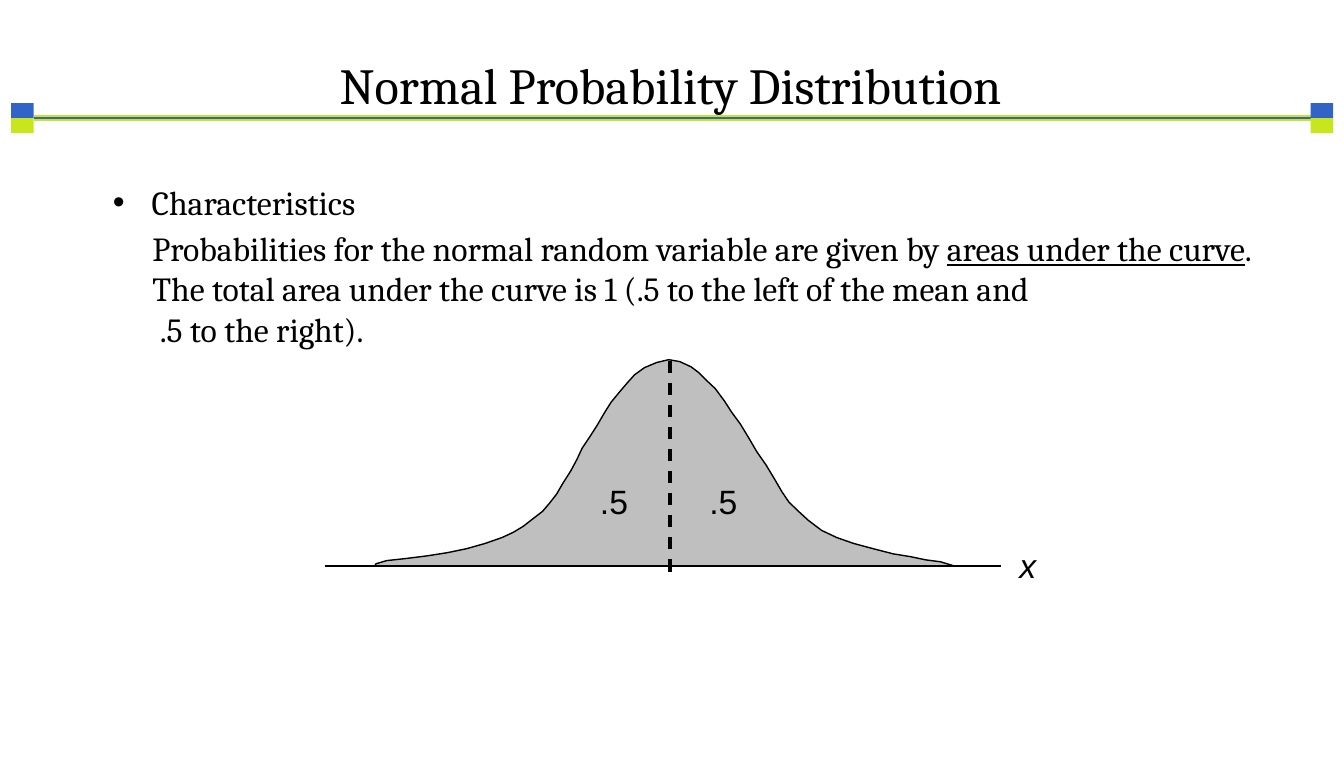
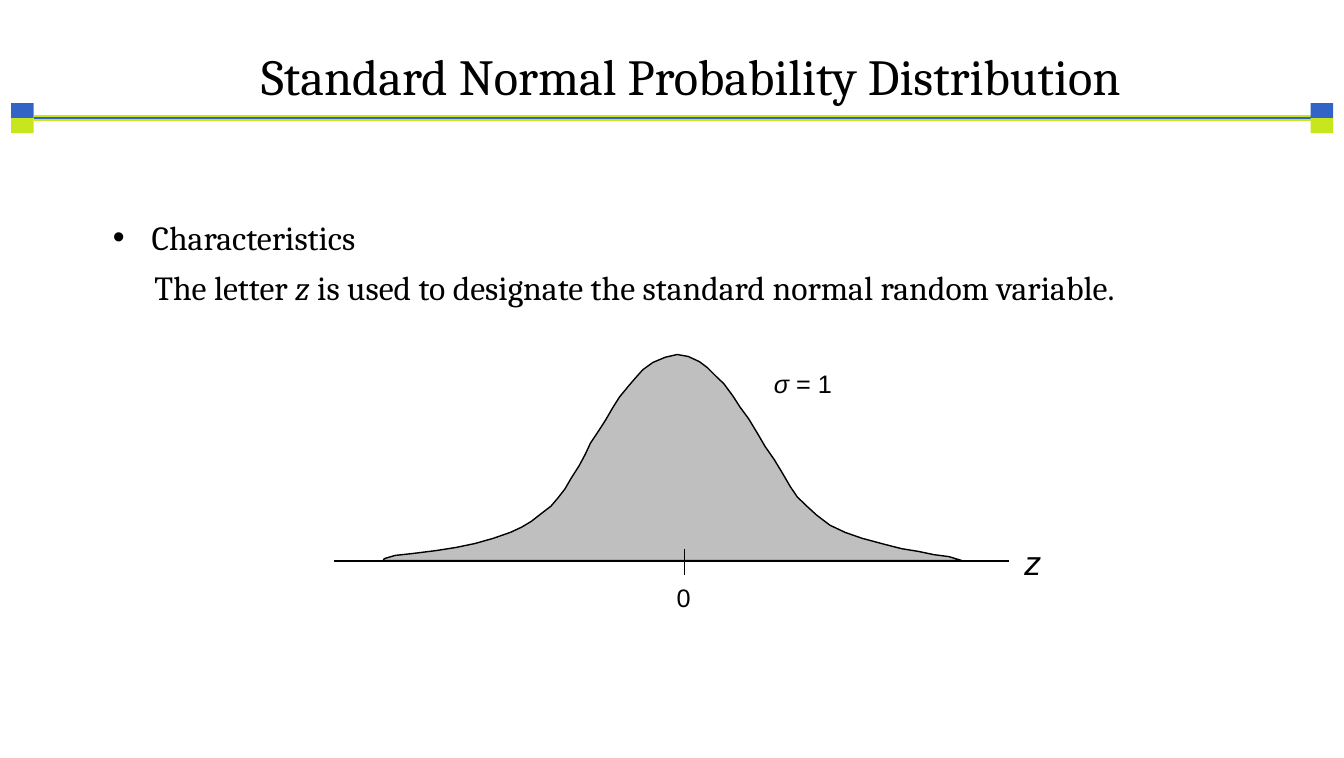
from lxml.etree import SubElement
from pptx import Presentation
from pptx.dml.color import RGBColor
from pptx.enum.dml import MSO_LINE
from pptx.enum.shapes import MSO_CONNECTOR, MSO_SHAPE
from pptx.enum.text import MSO_ANCHOR, PP_ALIGN
from pptx.oxml.ns import qn
from pptx.util import Cm, Pt

BLUE = RGBColor(0x32, 0x64, 0xC8)
LIME = RGBColor(0xC8, 0xE6, 0x1E)
GRAY = RGBColor(0xBF, 0xBF, 0xBF)
BLACK = RGBColor(0, 0, 0)
SERIF, SANS = "Cambria", "Arial"

# Bell outline: distance from the left tail and height above the axis, in 0.1 mm
BELL = [
    (0, 0), (3, 5), (30, 13), (76, 18), (132, 25), (183, 33), (231, 43),
    (277, 56), (320, 71), (348, 84), (373, 99), (396, 117), (422, 137),
    (439, 157), (457, 180), (472, 206), (493, 239), (508, 267), (521, 295),
    (541, 325), (559, 353), (577, 384), (594, 411), (617, 439), (635, 460),
    (653, 480), (678, 498), (709, 511), (739, 518), (767, 513), (795, 500),
    (815, 485), (838, 462), (856, 445), (879, 414), (897, 386), (919, 356),
    (942, 318), (960, 287), (983, 254), (1003, 221), (1024, 185),
    (1041, 160), (1067, 135), (1090, 114), (1123, 89), (1161, 71),
    (1204, 56), (1260, 41), (1303, 30), (1346, 23), (1384, 15), (1422, 10),
    (1455, 0),
]


class Deck:
    def __init__(self):
        self.prs = Presentation()
        self.prs.slide_width, self.prs.slide_height = Cm(33.78), Cm(19.05)
        self.shapes = None

    def new_slide(self, title, left, top):
        """Start a slide with the ruled band and its title."""
        self.shapes = self.prs.slides.add_slide(self.prs.slide_layouts[6]).shapes
        band_y, side, height = 2.97, 0.57, 0.38
        band_left, band_right = 0.85, 32.94
        for color, width in ((LIME, 4.5), (BLUE, 1.75)):
            self.line(band_left, band_y, band_right, band_y, width, color)
        for x in (band_left - side, band_right):
            self.block(x, band_y - height, side, height, BLUE)
            self.block(x, band_y, side, height, LIME)
        self.text([[title]], left, top, 28.73, 1.75, size=36,
                  align=PP_ALIGN.CENTER, spacing=0.9)

    def block(self, x, y, width, height, color):
        block = self.shapes.add_shape(MSO_SHAPE.RECTANGLE, Cm(x), Cm(y), Cm(width), Cm(height))
        block.shadow.inherit = False
        block.fill.solid()
        block.fill.fore_color.rgb = color
        block.line.fill.background()

    def line(self, x1, y1, x2, y2, width, color=BLACK, dash=None):
        line = self.shapes.add_connector(MSO_CONNECTOR.STRAIGHT, Cm(x1), Cm(y1), Cm(x2), Cm(y2))
        line.line.width = Pt(width)
        line.line.color.rgb = color
        if dash:
            line.line.dash_style = dash
        SubElement(line._element.spPr, qn("a:effectLst"))

    def text(self, paragraphs, x, y, width, height, size=24, font=SERIF,
             align=PP_ALIGN.LEFT, anchor=MSO_ANCHOR.TOP, spacing=None,
             bullet=False, wrap=True):
        """Each paragraph is a list of runs: a string, or (string, font attribute to turn on)."""
        frame = self.shapes.add_textbox(Cm(x), Cm(y), Cm(width), Cm(height)).text_frame
        frame.word_wrap = wrap
        frame.vertical_anchor = anchor
        for index, runs in enumerate(paragraphs):
            paragraph = frame.add_paragraph() if index else frame.paragraphs[0]
            paragraph.alignment = align
            if spacing:
                paragraph.line_spacing = spacing
            if bullet:
                props = paragraph._p.get_or_add_pPr()
                props.set("marL", str(Cm(0.97)))
                props.set("indent", str(-Cm(0.97)))
                SubElement(props, qn("a:buFont"), typeface=SANS)
                SubElement(props, qn("a:buChar"), char="•")
            for item in runs:
                words, emphasis = (item, None) if isinstance(item, str) else item
                run = paragraph.add_run()
                run.text = words
                run.font.name, run.font.size = font, Pt(size)
                run.font.color.rgb = BLACK
                if emphasis:
                    setattr(run.font, emphasis, True)

    def heading(self, words, y):
        self.text([[words]], 2.59, y, 12.8, 1.5, bullet=True)

    def label(self, runs, x, y, width=0.94, size=24):
        self.text([runs], x, y, width, 1.25, size=size, font=SANS, wrap=False)

    def bell_curve(self, left, axis_y):
        """Draw the shaded curve standing on its axis."""
        start, *rest = [(x, -height) for x, height in BELL]
        builder = self.shapes.build_freeform(*start, scale=Cm(0.01))
        builder.add_line_segments(rest, close=True)
        curve = builder.convert_to_shape(Cm(left), Cm(axis_y))
        curve.shadow.inherit = False
        curve.fill.solid()
        curve.fill.fore_color.rgb = GRAY
        curve.line.color.rgb = BLACK
        curve.line.width = Pt(1)
        self.line(left - 1.24, axis_y, left + 15.73, axis_y, 1.5)


def normal_distribution(deck):
    deck.new_slide("Normal Probability Distribution", 2.49, 1.4)
    deck.heading("Characteristics", 4.45)
    deck.text([
        ["Probabilities for the normal random variable are given by ",
         ("areas under the curve", "underline"),
         ". The total area under the curve is 1 (.5 to the left of the mean and"],
        [" .5 to the right)."],
    ], 3.58, 5.36, 29.36, 3.78, anchor=MSO_ANCHOR.MIDDLE)
    deck.bell_curve(9.42, 14.22)
    deck.line(16.84, 9.07, 16.84, 14.45, 2.25, dash=MSO_LINE.DASH)
    for half_x in (14.83, 17.58):
        deck.label([".5"], half_x, 11.96, width=1.22)
    deck.label([("x", "italic")], 25.37, 13.56)


def standard_normal_distribution(deck):
    deck.new_slide("Standard Normal Probability Distribution", 3, 1.17)
    deck.heading("Characteristics", 5.33)
    deck.text([["The letter ", ("z ", "italic"),
                "is used to designate the standard normal random variable."]],
              3.63, 6.45, 26.52, 1.52, anchor=MSO_ANCHOR.MIDDLE)
    deck.bell_curve(9.63, 14.09)
    deck.line(17.2, 13.79, 17.2, 14.45, 1)
    deck.label([("σ ", "italic"), "= 1"], 19.2, 9.14, width=2.31, size=18)
    deck.label(["0"], 16.76, 14.5, size=18)
    deck.label([("z", "italic")], 25.5, 13.49)


def main():
    deck = Deck()
    normal_distribution(deck)
    standard_normal_distribution(deck)
    deck.prs.save("out.pptx")


if __name__ == "__main__":
    main()
